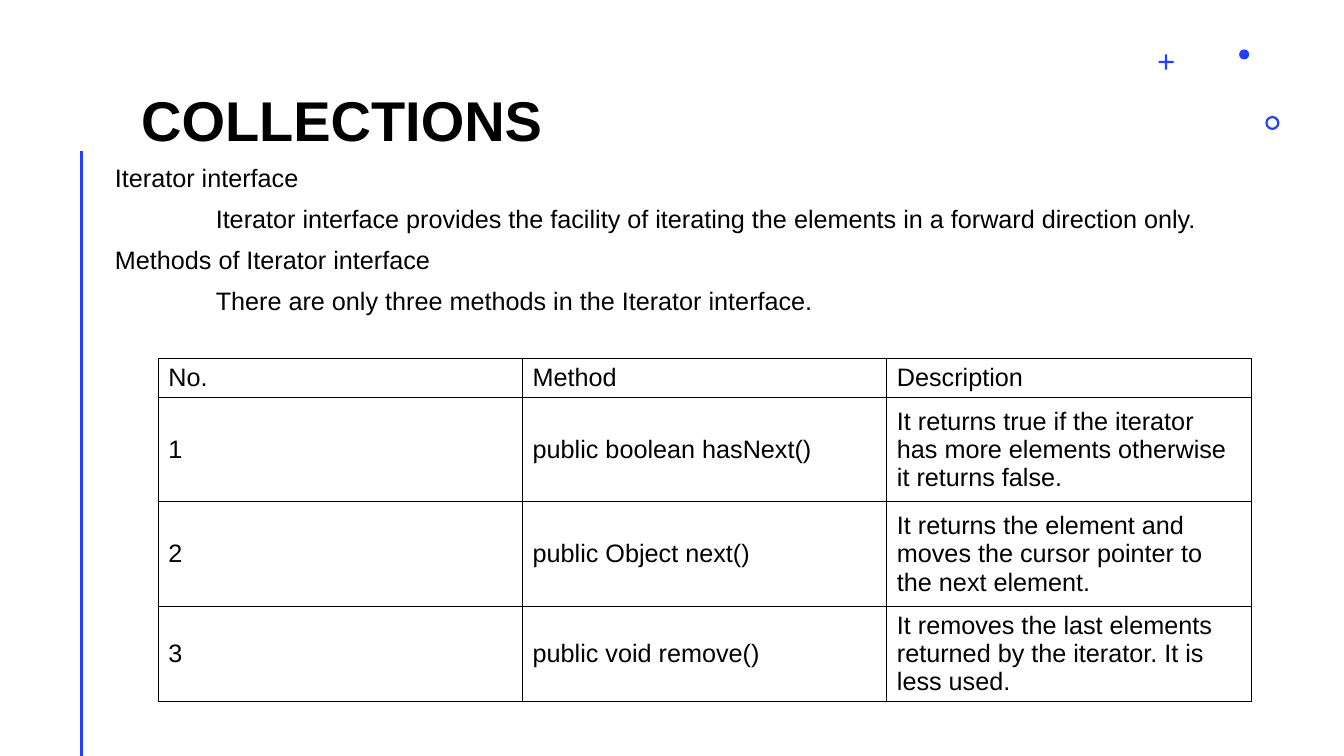
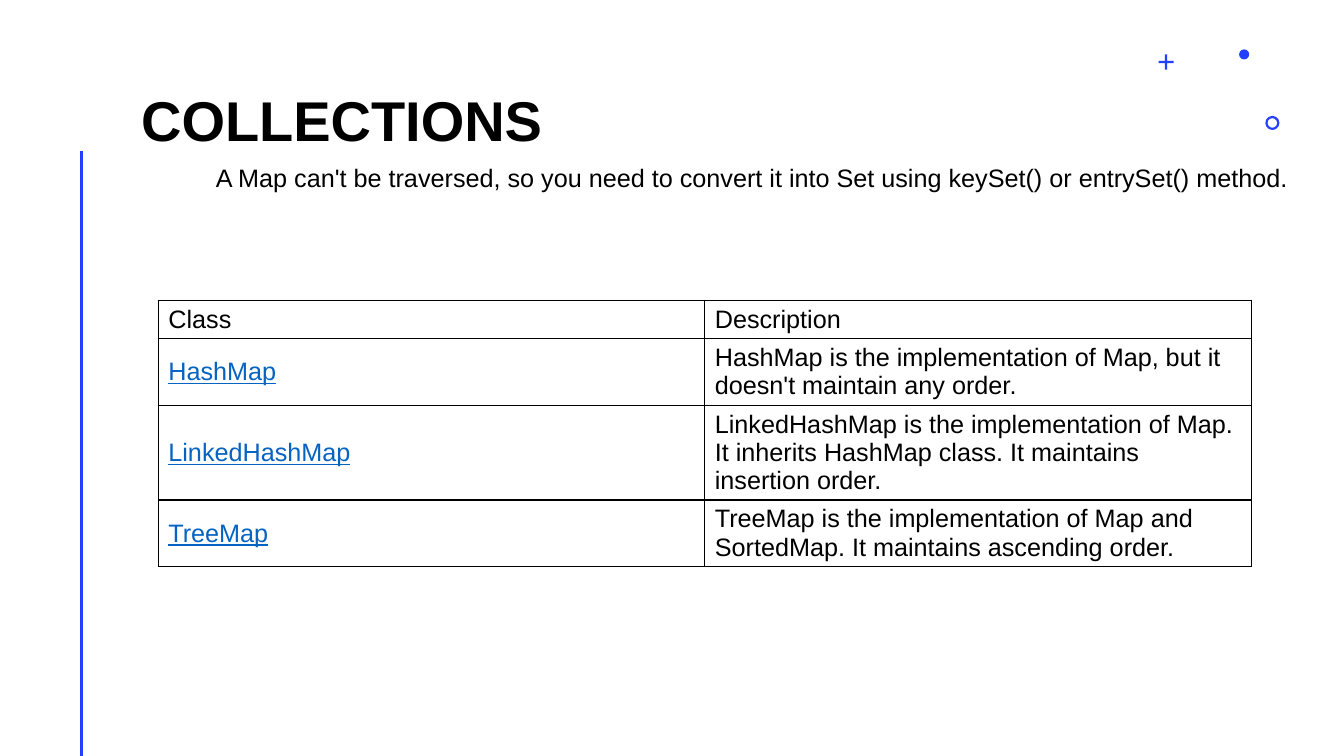
from lxml import etree
from pptx import Presentation
from pptx.dml.color import RGBColor
from pptx.enum import shapes, text
from pptx.oxml import ns
from pptx.util import Inches, Pt

# Shared style
FONT = "Arial"
BLACK, BLUE, LINK, WHITE = "000000", "243FFF", "0563C1", "FFFFFF"
TITLE_BOX = (1.4, 0.75, 9.99, 0.77)
BODY_BOX = (1.14, 1.64, 11.96, 5.32)
TABLE_LEFT, TABLE_WIDTH = 1.57, 10.84
LINE_HEIGHT, CELL_PADDING = 0.28, 0.1


def color(hex_value):
    return RGBColor.from_string(hex_value)


def write_text(paragraph, content, size=18, fill=BLACK, bold=False, underline=False):
    run = paragraph.add_run()
    run.text = content
    font = run.font
    font.name, font.size, font.bold = FONT, Pt(size), bold
    font.underline = underline
    font.color.rgb = color(fill)


def prepare_frame(shape, box, anchor):
    shape.left, shape.top, shape.width, shape.height = map(Inches, box)
    frame = shape.text_frame
    frame.margin_left = frame.margin_top = frame.margin_right = frame.margin_bottom = 0
    frame.word_wrap = True
    frame.auto_size = text.MSO_AUTO_SIZE.NONE
    frame.vertical_anchor = anchor
    return frame


def add_title(slide, content):
    frame = prepare_frame(slide.shapes.title, TITLE_BOX, text.MSO_ANCHOR.BOTTOM)
    paragraph = frame.paragraphs[0]
    paragraph.alignment = text.PP_ALIGN.LEFT
    paragraph.line_spacing = Pt(40)
    write_text(paragraph, content, size=40, bold=True)


def add_body(slide, lines):
    """Each line is a pair: left indent in inches, text."""
    frame = prepare_frame(slide.placeholders[1], BODY_BOX, text.MSO_ANCHOR.TOP)
    for index, (indent, content) in enumerate(lines):
        paragraph = frame.add_paragraph() if index else frame.paragraphs[0]
        paragraph.alignment = text.PP_ALIGN.LEFT
        paragraph.line_spacing = 0.9
        paragraph.space_before = Pt(10)
        properties = paragraph._p.get_or_add_pPr()
        properties.set("marL", str(Inches(indent)))
        properties.set("indent", "0")
        etree.SubElement(properties, ns.qn("a:buNone"))
        write_text(paragraph, content)


def add_icon(slide, kind, left, top, size, adjustment=None):
    shape = slide.shapes.add_shape(
        kind, Inches(left), Inches(top), Inches(size), Inches(size))
    if adjustment is not None:
        shape.adjustments[0] = adjustment
    shape.shadow.inherit = False
    shape.fill.solid()
    shape.fill.fore_color.rgb = color(BLUE)
    shape.line.fill.background()


def add_decoration(slide):
    rule = slide.shapes.add_connector(
        shapes.MSO_CONNECTOR.STRAIGHT,
        Inches(0.81), Inches(1.5), Inches(0.81), Inches(7.5))
    rule.line.color.rgb = color(BLUE)
    rule.line.width = Pt(2)
    etree.SubElement(rule._element.spPr, ns.qn("a:effectLst"))
    add_icon(slide, shapes.MSO_SHAPE.CROSS, 11.49, 0.54, 0.15, 0.43)
    add_icon(slide, shapes.MSO_SHAPE.DONUT, 12.55, 1.15, 0.14, 0.16)
    add_icon(slide, shapes.MSO_SHAPE.OVAL, 12.29, 0.49, 0.1)


def add_borders(cell):
    properties = cell._tc.get_or_add_tcPr()
    for position, side in enumerate(("lnL", "lnR", "lnT", "lnB")):
        border = etree.Element(ns.qn(f"a:{side}"), w=str(Pt(1)))
        fill = etree.SubElement(border, ns.qn("a:solidFill"))
        etree.SubElement(fill, ns.qn("a:srgbClr"), val=BLACK)
        properties.insert(position, border)


def add_grid(slide, top, rows, line_counts, link_column=None):
    """Equal columns; row heights follow the number of text lines."""
    heights = [CELL_PADDING + LINE_HEIGHT * count for count in line_counts]
    column_count = len(rows[0])
    table = slide.shapes.add_table(
        len(rows), column_count, Inches(TABLE_LEFT), Inches(top),
        Inches(TABLE_WIDTH), Inches(sum(heights))).table
    table.first_row = table.horz_banding = False
    for column in table.columns:
        column.width = Inches(TABLE_WIDTH / column_count)
    for row_index, (contents, height) in enumerate(zip(rows, heights)):
        table.rows[row_index].height = Inches(height)
        for column_index, content in enumerate(contents):
            cell = table.cell(row_index, column_index)
            cell.vertical_anchor = text.MSO_ANCHOR.MIDDLE
            cell.fill.background()
            add_borders(cell)
            is_link = row_index > 0 and column_index == link_column
            write_text(cell.text_frame.paragraphs[0], content,
                       fill=LINK if is_link else BLACK, underline=is_link)


def add_slide(presentation, lines):
    slide = presentation.slides.add_slide(presentation.slide_layouts[1])
    add_decoration(slide)
    add_title(slide, "COLLECTIONS")
    add_body(slide, lines)
    return slide


def main():
    presentation = Presentation()
    presentation.slide_width, presentation.slide_height = Inches(13.33), Inches(7.5)
    background = presentation.slide_master.background.fill
    background.solid()
    background.fore_color.rgb = color(WHITE)

    # Iterator interface
    slide = add_slide(presentation, [
        (0, "Iterator interface"),
        (1, "Iterator interface provides the facility of iterating the elements "
            "in a forward direction only."),
        (0, "Methods of Iterator interface"),
        (1, "There are only three methods in the Iterator interface."),
    ])
    add_grid(slide, 3.56, [
        ("No.", "Method", "Description"),
        ("1", "public boolean hasNext()",
         "It returns true if the iterator has more elements otherwise it returns false."),
        ("2", "public Object next()",
         "It returns the element and moves the cursor pointer to the next element."),
        ("3", "public void remove()",
         "It removes the last elements returned by the iterator. It is less used."),
    ], line_counts=(1, 3.35, 3.35, 3))

    # Map classes
    slide = add_slide(presentation, [
        (1, "A Map can't be traversed, so you need to convert it into Set "
            "using keySet() or entrySet() method."),
    ])
    add_grid(slide, 2.98, [
        ("Class", "Description"),
        ("HashMap",
         "HashMap is the implementation of Map, but it doesn't maintain any order."),
        ("LinkedHashMap",
         "LinkedHashMap is the implementation of Map. It inherits HashMap class. "
         "It maintains insertion order."),
        ("TreeMap",
         "TreeMap is the implementation of Map and SortedMap. "
         "It maintains ascending order."),
    ], line_counts=(1, 2, 3, 2), link_column=0)

    presentation.save("out.pptx")


if __name__ == "__main__":
    main()
